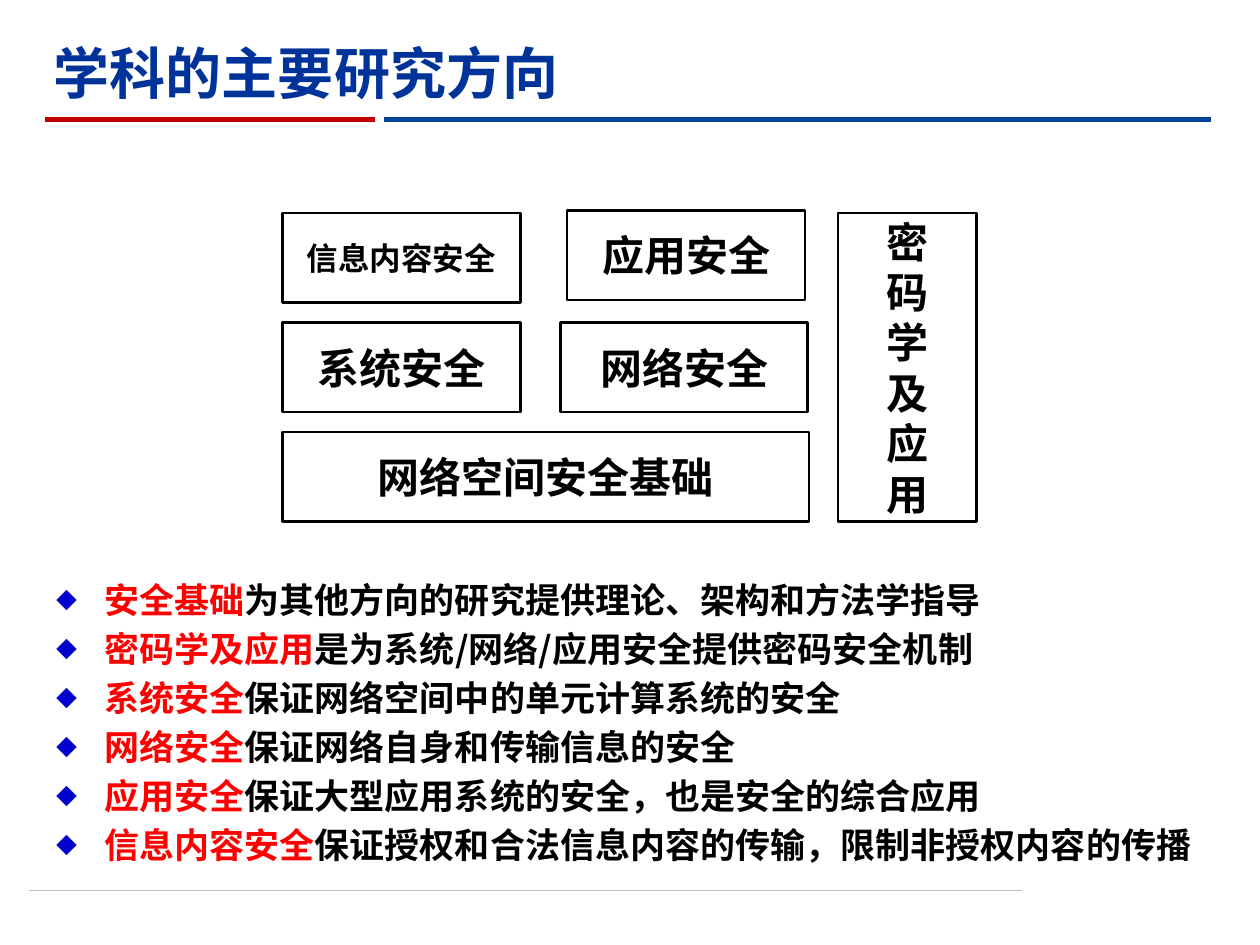
import pptx
import pptx.util
import pptx.dml.color
import pptx.enum.shapes
import pptx.enum.text
import pptx.oxml.ns
from lxml import etree

HUES = {"blue": "003399", "bar": "004299", "dark": "C00000", "gray": "BFBFBF",
        "red": "FF0000", "black": "000000", "mark": "0000CC"}
FACE = "Noto Sans CJK SC"
TITLE = "学科的主要研究方向"

# text, left, top, width, rows, size
LEFT, TOP, HIGH, STEP = 2.24, 1.69, 0.71, 0.87
TALL = 2 * STEP + HIGH
BOXES = [
    ("网络空间安全基础", LEFT, TOP + 2 * STEP, 4.18, HIGH, 24),
    ("系统安全", LEFT, TOP + STEP, 1.89, HIGH, 24),
    ("网络安全", 4.45, TOP + STEP, 1.96, HIGH, 24),
    ("信息内容安全", LEFT, TOP, 1.89, HIGH, 18),
    ("密\n码\n学\n及\n应\n用", 6.65, TOP, 1.1, TALL, 24),
    ("应用安全", 4.5, TOP - 0.02, 1.89, HIGH, 24),
]
POINTS = [
    ("安全基础", "为其他方向的研究提供理论、架构和方法学指导"),
    ("密码学及应用", "是为系统/网络/应用安全提供密码安全机制"),
    ("系统安全", "保证网络空间中的单元计算系统的安全"),
    ("网络安全", "保证网络自身和传输信息的安全"),
    ("应用安全", "保证大型应用系统的安全，也是安全的综合应用"),
    ("信息内容安全", "保证授权和合法信息内容的传输，限制非授权内容的传播"),
]
# left, right, height on slide, hue, weight
RULES = [(0.23, 8.11, 7.07, "gray", 0.5),
         (3.05, 9.61, 0.95, "bar", 3),
         (0.36, 2.98, 0.95, "dark", 3)]

inch, pt = pptx.util.Inches, pptx.util.Pt
qn = pptx.oxml.ns.qn
MIDDLE = pptx.enum.text.MSO_ANCHOR.MIDDLE


def rgb(hue):
    return pptx.dml.color.RGBColor.from_string(HUES[hue])


def style(para, size, hue):
    font = para.font
    font.name, font.size, font.bold = FACE, pt(size), True
    font.color.rgb = rgb(hue)
    props = para._p.pPr.find(qn("a:defRPr"))
    etree.SubElement(props, qn("a:ea"), typeface=FACE)


def bullet(para):
    props = para._p.get_or_add_pPr()
    props.set("marL", str(inch(0.38)))
    props.set("indent", str(-inch(0.38)))
    tint = etree.SubElement(props, qn("a:buClr"))
    etree.SubElement(tint, qn("a:srgbClr"), val=HUES["mark"])
    etree.SubElement(props, qn("a:buSzPct"), val="60000")
    etree.SubElement(props, qn("a:buFont"), typeface=FACE)
    etree.SubElement(props, qn("a:buChar"), char="◆")


def rule(slide, left, right, y, hue, weight):
    line = slide.shapes.add_connector(
        pptx.enum.shapes.MSO_CONNECTOR.STRAIGHT,
        inch(left), inch(y), inch(right), inch(y))
    line.line.color.rgb = rgb(hue)
    line.line.width = pt(weight)
    etree.SubElement(line._element.spPr, qn("a:effectLst"))


def box(slide, text, left, top, wide, high, size):
    shape = slide.shapes.add_shape(
        pptx.enum.shapes.MSO_SHAPE.RECTANGLE,
        inch(left), inch(top), inch(wide), inch(high))
    shape.shadow.inherit = False
    shape.fill.background()
    shape.line.color.rgb = rgb("black")
    shape.line.width = pt(1.5)
    frame = shape.text_frame
    frame.word_wrap = True
    frame.vertical_anchor = MIDDLE
    frame.margin_top = frame.margin_bottom = 0
    frame.text = text
    for para in frame.paragraphs:
        para.alignment = pptx.enum.text.PP_ALIGN.CENTER
        para.line_spacing = pt(1.2 * size)
        style(para, size, "black")


def area(slide, left, top, wide, high):
    shape = slide.shapes.add_textbox(inch(left), inch(top), inch(wide), inch(high))
    shape.text_frame.word_wrap = True
    return shape.text_frame


def main():
    deck = pptx.Presentation()
    deck.slide_width, deck.slide_height = inch(10), inch(7.5)
    slide = deck.slides.add_slide(deck.slide_layouts[6])
    for item in RULES:
        rule(slide, *item)

    head = area(slide, 0.33, 0.21, 7.66, 0.8)
    head.vertical_anchor = MIDDLE
    head.text = TITLE
    head.paragraphs[0].line_spacing = 0.9
    style(head.paragraphs[0], 32, "blue")

    body = area(slide, 0.35, 4.54, 9.28, 2.44)
    for i, (term, rest) in enumerate(POINTS):
        para = body.add_paragraph() if i else body.paragraphs[0]
        para.line_spacing = pt(24)
        para.space_before = pt(4 if i else 0)
        bullet(para)
        style(para, 20, "black")
        run = para.add_run()
        run.text = term
        run.font.color.rgb = rgb("red")
        para.add_run().text = rest

    for item in BOXES:
        box(slide, *item)
    deck.save("out.pptx")


if __name__ == "__main__":
    main()
